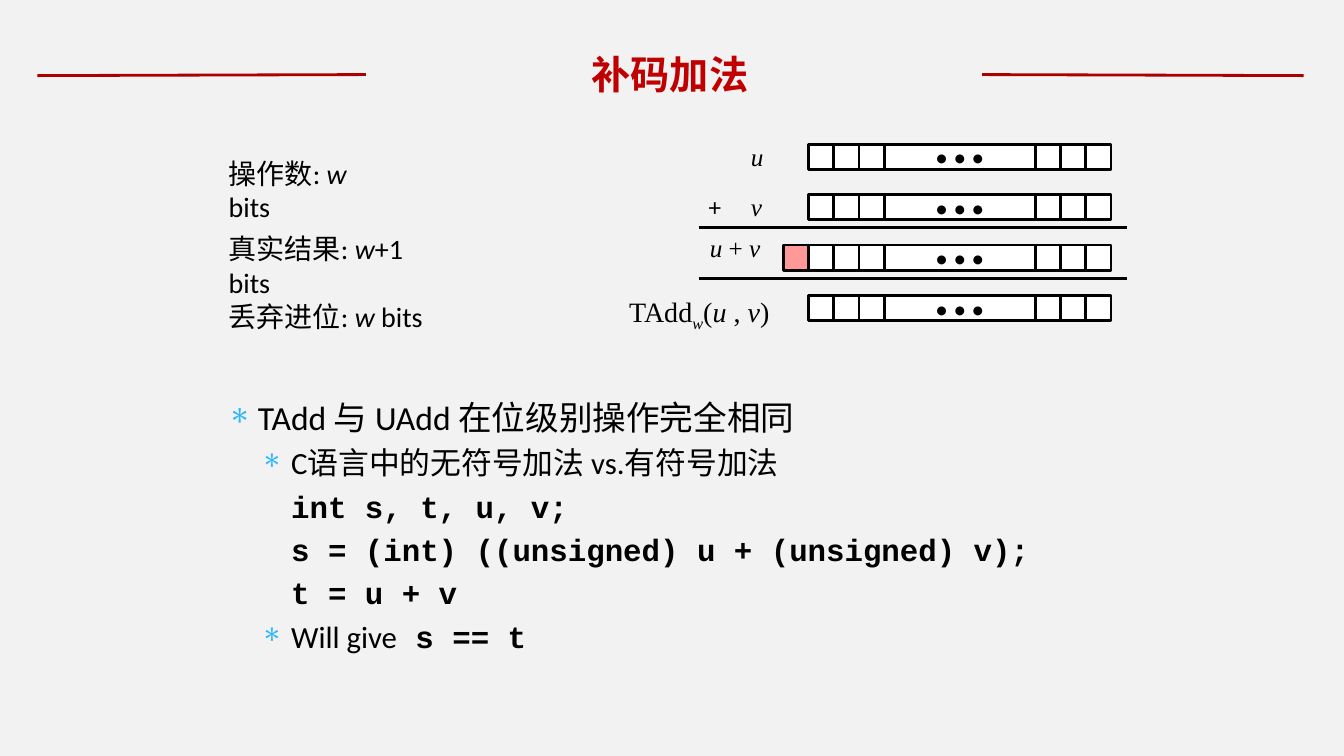
from lxml.etree import SubElement
from pptx import Presentation
from pptx.dml.color import RGBColor as RGB
from pptx.enum.shapes import MSO_CONNECTOR as CONN, MSO_SHAPE as SHAPE
from pptx.enum.text import MSO_ANCHOR as ANCHOR, PP_ALIGN as ALIGN
from pptx.oxml.ns import qn
from pptx.util import Pt

PX = 9144  # EMU per px, 100 px to the inch
THEME = {
    "bg": RGB.from_string("F2F2F2"), "ink": RGB.from_string("000000"),
    "title": RGB.from_string("C00000"), "rule": RGB.from_string("AC0000"),
    "cell": RGB.from_string("FFFFFF"), "carry": RGB.from_string("FF9999"),
    "bullet": "31B6FD",
    "sans": "Calibri", "serif": "Times New Roman",
    "mono": "Courier New", "cjk": "Noto Sans CJK SC",
    "title_pt": 28, "body_pt": 24, "sub_pt": 22, "label_pt": 20, "math_pt": 18,
    "leading_pt": 31, "line_pt": 2,
}

prs = Presentation()
prs.slide_width, prs.slide_height = 1333 * PX, 750 * PX
slide = prs.slides.add_slide(prs.slide_layouts[6])
slide.background.fill.solid()
slide.background.fill.fore_color.rgb = THEME["bg"]


def add_run(p, text, font, size, color=THEME["ink"], bold=False, italic=False):
    r = p.add_run()
    r.text = text
    r.font.name, r.font.size = font, Pt(size)
    r.font.bold, r.font.italic = bold, italic
    r.font.color.rgb = color
    return r


def add_box(x, y, w, h, wrap=False):
    tf = slide.shapes.add_textbox(x * PX, y * PX, w * PX, h * PX).text_frame
    tf.word_wrap = wrap
    return tf


# Title
tf = add_box(256, 43, 817, 61, True)
tf.vertical_anchor = ANCHOR.MIDDLE
p = tf.paragraphs[0]
p.alignment = ALIGN.CENTER
r = add_run(p, "补码加法", THEME["cjk"], THEME["title_pt"], THEME["title"], bold=True)
SubElement(r.font._element, qn("a:ea")).set("typeface", THEME["cjk"])

# Points and code: indent, bullet shown, runs of (text, font)
points = [
    (30, True, [("TAdd 与 UAdd 在位级别操作完全相同", "sans")]),
    (63, True, [("C语言中的无符号加法 vs.有符号加法", "sans")]),
    (63, False, [("int s, t, u, v;", "mono")]),
    (63, False, [("s = (int) ((unsigned) u + (unsigned) v);", "mono")]),
    (63, False, [("t = u + v", "mono")]),
    (63, True, [("Will give", "sans"), (" s == t", "mono")]),
]
tf = add_box(216, 386, 866, 245, True)
for i, (indent, bulleted, runs) in enumerate(points):
    p = tf.add_paragraph() if i else tf.paragraphs[0]
    p.level = 1 if i else 0
    p.line_spacing = Pt(THEME["leading_pt"])
    pPr = p._p.get_or_add_pPr()
    pPr.set("marL", str(indent * PX))
    pPr.set("indent", str(-30 * PX if bulleted else 0))
    if bulleted:
        color = SubElement(pPr, qn("a:buClr"))
        SubElement(color, qn("a:srgbClr")).set("val", THEME["bullet"])
        SubElement(pPr, qn("a:buChar")).set("char", "∗")
    for text, font in runs:
        add_run(p, text, THEME[font], THEME["sub_pt" if i else "body_pt"],
                bold=font == "mono")

# Bit vectors: u, v, their true sum with a carry bit, and the truncated sum
BIT, LEFT, TOP, ROW_STEP = 25, 802, 143, 50
bits = [(k, 1) for k in (0, 1, 2, 9, 10, 11)] + [(3, 6)]
for row in range(4):
    group = slide.shapes.add_group_shape()
    for k, span in bits + ([(-1, 1)] if row == 2 else []):
        sp = group.shapes.add_shape(
            SHAPE.RECTANGLE, (LEFT + k * BIT) * PX, (TOP + row * ROW_STEP) * PX,
            span * BIT * PX, BIT * PX)
        sp.shadow.inherit = False
        sp.fill.solid()
        sp.fill.fore_color.rgb = THEME["carry" if k < 0 else "cell"]
        sp.line.color.rgb, sp.line.width = THEME["ink"], Pt(THEME["line_pt"])
        if span > 1:
            tf = sp.text_frame
            tf.word_wrap, tf.vertical_anchor = False, ANCHOR.MIDDLE
            p = tf.paragraphs[0]
            p.alignment = ALIGN.CENTER
            add_run(p, "•\u00a0•\u00a0•", THEME["sans"], THEME["math_pt"])

# Labels: box, wrap, alignment, font, size, runs of (text, style)
labels = [
    (735, 135, 32, 40, False, ALIGN.LEFT, "serif", "math_pt", [("u", "i")]),
    (735, 185, 31, 40, False, ALIGN.LEFT, "serif", "math_pt", [("v", "i")]),
    (693, 185, 33, 40, False, ALIGN.LEFT, "sans", "math_pt", [("+", "")]),
    (694, 226, 70, 40, False, ALIGN.RIGHT, "serif", "math_pt",
     [("u ", "i"), ("+ ", ""), ("v", "i")]),
    (613, 287, 160, 44, False, ALIGN.RIGHT, "serif", "label_pt",
     [("TAdd", ""), ("w", "i sub"), ("(", ""), ("u", "i"), (" , ", ""),
      ("v", "i"), (")", "")]),
    (217, 150, 184, 44, True, ALIGN.LEFT, "sans", "label_pt",
     [("操作数: ", ""), ("w", "i"), (" bits", "")]),
    (217, 225, 240, 44, True, ALIGN.LEFT, "sans", "label_pt",
     [("真实结果: ", ""), ("w", "i"), ("+1 bits", "")]),
    (217, 292, 325, 44, True, ALIGN.LEFT, "sans", "label_pt",
     [("丢弃进位: ", ""), ("w", "i"), (" bits", "")]),
]
for x, y, w, h, wrap, align, font, size, runs in labels:
    p = add_box(x, y, w, h, wrap).paragraphs[0]
    p.alignment = align
    for text, style in runs:
        r = add_run(p, text, THEME[font], THEME[size], italic="i" in style)
        if "sub" in style:
            r.font._element.set("baseline", "-25000")

# Sum lines and title rules
lines = [
    (693, 226, 1118, 226, "ink"), (693, 276, 1118, 276, "ink"),
    (37, 75, 363, 74, "rule"), (974, 74, 1293, 75, "rule"),
]
for x1, y1, x2, y2, color in lines:
    line = slide.shapes.add_connector(CONN.STRAIGHT, x1 * PX, y1 * PX, x2 * PX, y2 * PX)
    line.line.color.rgb, line.line.width = THEME[color], Pt(THEME["line_pt"])
    SubElement(line._element.spPr, qn("a:effectLst"))

prs.save("out.pptx")
